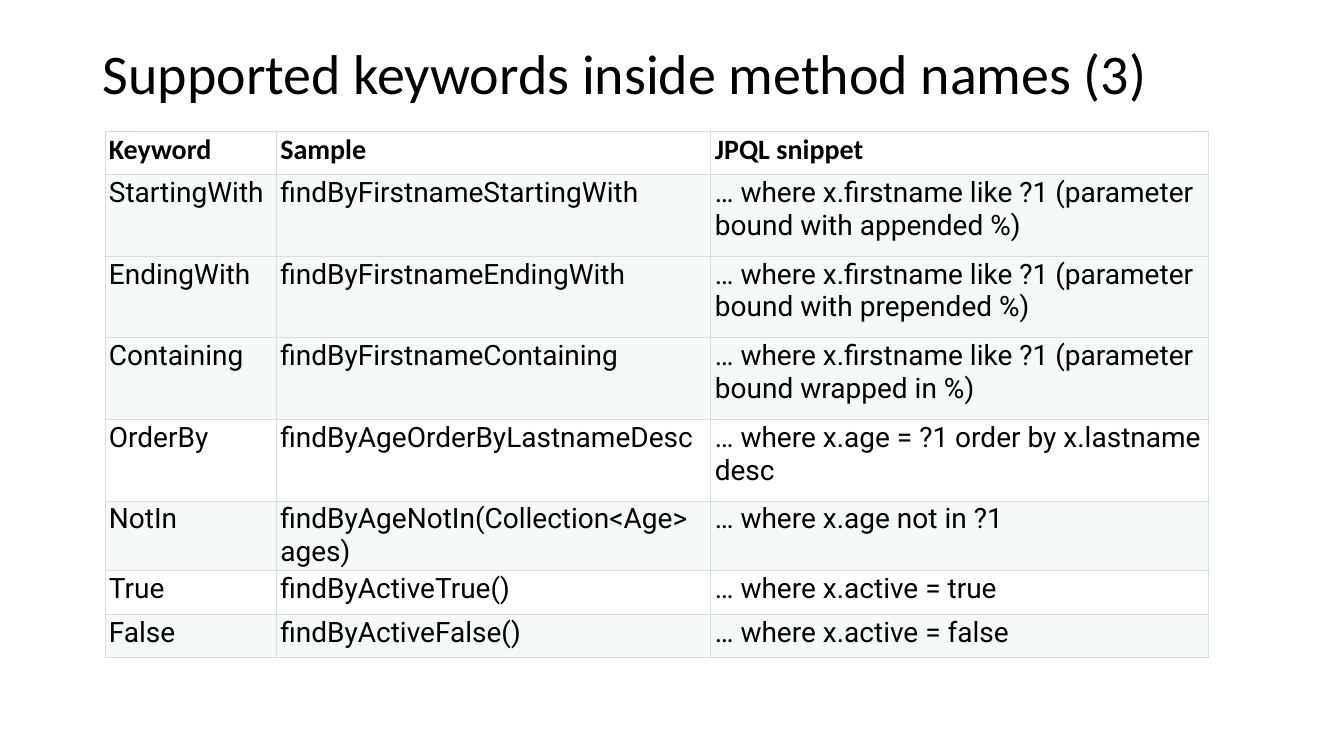
from lxml.etree import SubElement
from pptx import Presentation
from pptx.dml.color import RGBColor
from pptx.enum.text import MSO_ANCHOR, MSO_AUTO_SIZE, PP_ALIGN
from pptx.oxml.ns import qn
from pptx.util import Inches, Pt

# Content
TITLE = "Supported keywords inside method names (3)"
HEADER = ("Keyword", "Sample", "JPQL snippet")
# Row height, shade, cell texts
ROWS = [
    (0.43, "plain", HEADER),
    (0.81, "tint", ("StartingWith", "findByFirstnameStartingWith",
                    "… where x.firstname like ?1 (parameter bound with appended %)")),
    (0.81, "tint", ("EndingWith", "findByFirstnameEndingWith",
                    "… where x.firstname like ?1 (parameter bound with prepended %)")),
    (0.81, "tint", ("Containing", "findByFirstnameContaining",
                    "… where x.firstname like ?1 (parameter bound wrapped in %)")),
    (0.81, "plain", ("OrderBy", "findByAgeOrderByLastnameDesc",
                     "… where x.age = ?1 order by x.lastname desc")),
    (0.45, "tint", ("NotIn", "findByAgeNotIn(Collection<Age> ages)",
                    "… where x.age not in ?1")),
    (0.43, "plain", ("True", "findByActiveTrue()", "… where x.active = true")),
    (0.43, "tint", ("False", "findByActiveFalse()", "… where x.active = false")),
]

# Format
COLORS = {"text": "000000", "plain": "FFFFFF", "tint": "F5F9F9", "border": "D4DFDF"}
COLS = (1.7, 4.31, 4.93)
TITLE_BOX = {"left": 0.92, "top": 0.4, "width": 11.5, "height": 0.71}
TABLE_AT = (1.04, 1.3)
MARGINS = {"margin_left": 0.04, "margin_top": 0.02,
           "margin_right": 0.04, "margin_bottom": 0.02}
TITLE_FONT = {"name": "Calibri", "size": Pt(40), "bold": False}
HEAD_FONT = {"name": "Calibri", "size": Pt(20), "bold": True}
BODY_FONT = {"name": "Roboto", "size": Pt(20), "bold": False}


def set_all(obj, values):
    for name, value in values.items():
        setattr(obj, name, value)


def inches(values):
    return {name: Inches(value) for name, value in values.items()}


def write(p, text, font):
    r = p.add_run()
    r.text = text
    set_all(r.font, font)
    r.font.color.rgb = RGBColor.from_string(COLORS["text"])


def add_borders(cell):
    tc_pr = cell._tc.get_or_add_tcPr()
    for i, side in enumerate(("lnL", "lnR", "lnT", "lnB")):
        ln = tc_pr.makeelement(qn(f"a:{side}"), {"w": str(Pt(0.6))})
        fill = SubElement(ln, qn("a:solidFill"))
        SubElement(fill, qn("a:srgbClr"), val=COLORS["border"])
        tc_pr.insert(i, ln)


def main():
    prs = Presentation()
    prs.slide_width, prs.slide_height = Inches(13.33), Inches(7.5)
    s = prs.slides.add_slide(prs.slide_layouts[5])

    # Title
    title = s.shapes.title
    set_all(title, inches(TITLE_BOX))
    tf = title.text_frame
    set_all(tf, {"word_wrap": True, "auto_size": MSO_AUTO_SIZE.NONE,
                 "vertical_anchor": MSO_ANCHOR.MIDDLE})
    p = tf.paragraphs[0]
    set_all(p, {"alignment": PP_ALIGN.LEFT, "line_spacing": 0.9})
    write(p, TITLE, TITLE_FONT)

    # Table grid
    size = (sum(COLS), sum(height for height, _, _ in ROWS))
    table = s.shapes.add_table(len(ROWS), len(COLS),
                               *map(Inches, TABLE_AT + size)).table
    table.horz_banding = False
    for col, width in zip(table.columns, COLS):
        col.width = Inches(width)

    # Table cells
    for i, (height, shade, texts) in enumerate(ROWS):
        table.rows[i].height = Inches(height)
        for j, text in enumerate(texts):
            cell = table.cell(i, j)
            set_all(cell, inches(MARGINS))
            cell.fill.solid()
            cell.fill.fore_color.rgb = RGBColor.from_string(COLORS[shade])
            add_borders(cell)
            write(cell.text_frame.paragraphs[0], text, BODY_FONT if i else HEAD_FONT)

    prs.save("out.pptx")


if __name__ == "__main__":
    main()
